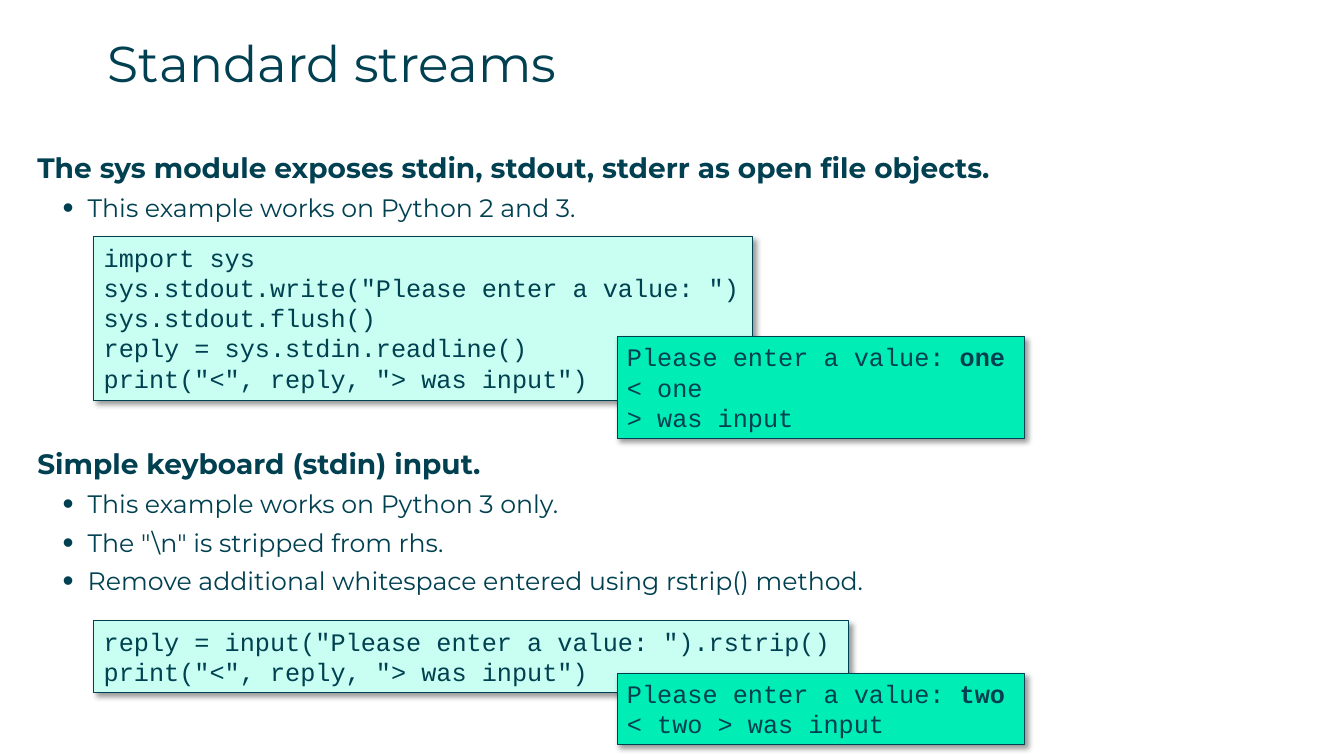
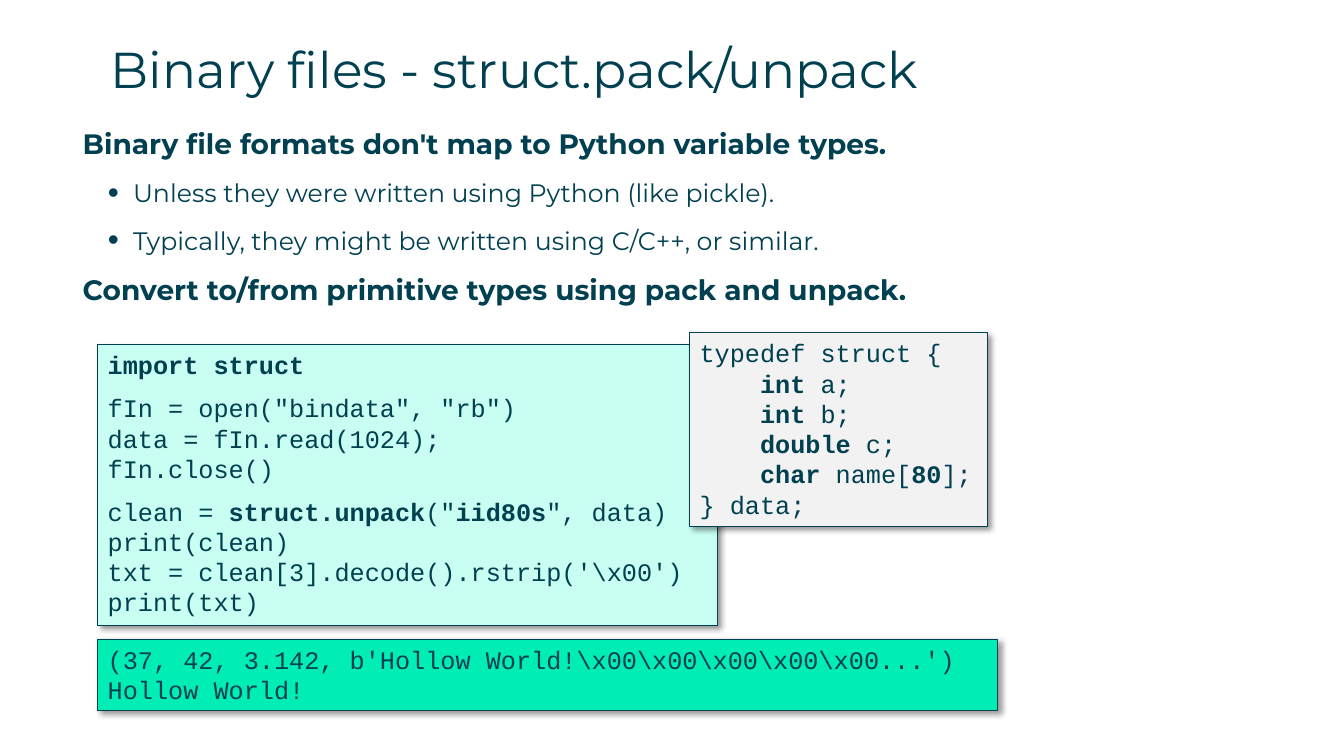
from lxml.etree import SubElement
from pptx import Presentation
from pptx.dml.color import RGBColor
from pptx.enum.shapes import MSO_SHAPE
from pptx.enum.text import MSO_ANCHOR, PP_ALIGN
from pptx.oxml import parse_xml
from pptx.oxml.ns import nsdecls, qn
from pptx.util import Inches, Pt

INK = RGBColor(0x00, 0x40, 0x50)
CODE = RGBColor(0xC8, 0xFF, 0xF2)
OUTPUT = RGBColor(0x00, 0xED, 0xB5)
HEADER = RGBColor(0xF2, 0xF2, 0xF2)
SANS, MONO = "Montserrat", "Courier New"
TITLE, HEAD, BODY = 36, 20, 18
GAP = 9           # points between groups of code lines
TAB = 0.6         # four characters of code

# Points: (level, text, space before). Boxes: (fill, place, lines).
# In code, "|" switches bold, a leading tab indents, "" opens a gap.
SLIDES = [
    dict(
        title=("Standard streams", 1.07, 0.32),
        body=(0.37, 1.49, 12.81, 5.7), after=6,
        points=[
            (0, "The sys module exposes stdin, stdout, stderr as open file objects.", 0),
            (1, "This example works on Python 2 and 3.", 0),
            (0, "Simple keyboard (stdin) input.", 154),
            (1, "This example works on Python 3 only.", 0),
            (1, 'The "\\n" is stripped from rhs.', 0),
            (1, "Remove additional whitespace entered using rstrip() method.", 0),
        ],
        boxes=[
            (CODE, (0.93, 6.16, 7.49, 0.71), [
                'reply = input("Please enter a value: ").rstrip()',
                'print("<", reply, "> was input")']),
            (CODE, (0.93, 2.35, 6.53, 1.62), [
                "import sys",
                'sys.stdout.write("Please enter a value: ")',
                "sys.stdout.flush()",
                "reply = sys.stdin.readline()",
                'print("<", reply, "> was input")']),
            (OUTPUT, (6.12, 3.34, 4.04, 1.01), [
                "Please enter a value: |one", "< one", "> was input"]),
            (OUTPUT, (6.12, 6.68, 4.04, 0.71), [
                "Please enter a value: |two", "< two > was input"]),
        ]),
    dict(
        title=("Binary files - struct.pack/unpack", 1.1, 0.38),
        body=(0.82, 1.25, 12.5, 5.42), after=6.5,
        points=[
            (0, "Binary file formats don't map to Python variable types.", 0),
            (1, "Unless they were written using Python (like pickle).", 6),
            (1, "Typically, they might be written using C/C++, or similar.", 6),
            (0, "Convert to/from primitive types using pack and unpack.", 6),
        ],
        boxes=[
            (CODE, (0.97, 3.42, 6.15, 2.79), [
                "|import struct",
                "",
                'fIn = open("bindata", "rb")',
                "data = fIn.read(1024);",
                "fIn.close()",
                "",
                'clean = |struct.unpack|("|iid80s|", data)',
                "print(clean)",
                "txt = clean[3].decode().rstrip('\\x00')",
                "print(txt)"]),
            (OUTPUT, (0.97, 6.34, 8.92, 0.71), [
                "(37, 42, 3.142, b'Hollow World!\\x00\\x00\\x00\\x00\\x00...')",
                "Hollow World!"]),
            (HEADER, (6.84, 3.3, 2.95, 1.92), [
                "typedef struct {",
                "\t|int| a;",
                "\t|int| b;",
                "\t|double| c;",
                "\t|char| name[|80|];",
                "} data;"]),
        ]),
]


def inch(place):
    return [Inches(x) for x in place]


def add_run(para, text, size, font, bold=False):
    run = para.add_run()
    run.text = text
    run.font.size, run.font.name, run.font.bold = Pt(size), font, bold
    run.font.color.rgb = INK


def set_frame(frame, inset=True):
    """Wrap, anchor at the top and optionally drop the margins."""
    frame.word_wrap = True
    frame.vertical_anchor = MSO_ANCHOR.TOP
    if not inset:
        frame.margin_left = frame.margin_right = 0
        frame.margin_top = frame.margin_bottom = 0


def next_para(frame, first):
    para = frame.paragraphs[0] if first else frame.add_paragraph()
    para.alignment = PP_ALIGN.LEFT
    return para


def indent(para, left, hang=0):
    props = para._p.get_or_add_pPr()
    props.set("marL", str(Inches(left)))
    props.set("indent", str(Inches(hang)))
    return props


def add_title(slide, text, left, top):
    title = slide.shapes.title
    title.left, title.top, title.width, title.height = inch(
        (left, top, 13.33 - left, 0.88))
    set_frame(title.text_frame, inset=False)
    add_run(next_para(title.text_frame, True), text, TITLE, SANS)


def add_body(slide, place, points, after):
    frame = slide.shapes.add_textbox(*inch(place)).text_frame
    set_frame(frame, inset=False)
    for i, (level, text, before) in enumerate(points):
        para = next_para(frame, i == 0)
        para.space_before, para.space_after = Pt(before), Pt(after)
        if level:
            props = indent(para, 0.5, -0.25)
            SubElement(props, qn("a:buSzPct")).set("val", "125000")
            SubElement(props, qn("a:buFont")).set("typeface", "Arial")
            SubElement(props, qn("a:buChar")).set("char", "•")
        add_run(para, text, BODY if level else HEAD, SANS, not level)


def add_shadow(shape):
    shape._element.spPr.append(parse_xml(
        f'<a:effectLst {nsdecls("a")}>'
        f'<a:outerShdw blurRad="{Pt(4)}" dist="{Pt(3)}" dir="2700000" '
        'algn="tl" rotWithShape="0"><a:srgbClr val="000000">'
        '<a:alpha val="40000"/></a:srgbClr></a:outerShdw></a:effectLst>'))


def add_box(slide, fill, place, lines):
    box = slide.shapes.add_shape(MSO_SHAPE.RECTANGLE, *inch(place))
    box.fill.solid()
    box.fill.fore_color.rgb = fill
    box.line.color.rgb = INK
    box.line.width = Pt(0.75)
    add_shadow(box)
    set_frame(box.text_frame)
    for i, line in enumerate(lines):
        if not line:
            continue
        para = next_para(box.text_frame, i == 0)
        if i and not lines[i - 1]:
            para.space_before = Pt(GAP)
        if line.startswith("\t"):
            indent(para, TAB)
        for k, part in enumerate(line.lstrip("\t").split("|")):
            if part:
                add_run(para, part, BODY, MONO, k % 2 == 1)


def main():
    deck = Presentation()
    deck.slide_width, deck.slide_height = inch((13.33, 7.5))
    for page in SLIDES:
        slide = deck.slides.add_slide(deck.slide_layouts[5])
        add_title(slide, *page["title"])
        add_body(slide, page["body"], page["points"], page["after"])
        for box in page["boxes"]:
            add_box(slide, *box)
    deck.save("out.pptx")


if __name__ == "__main__":
    main()
